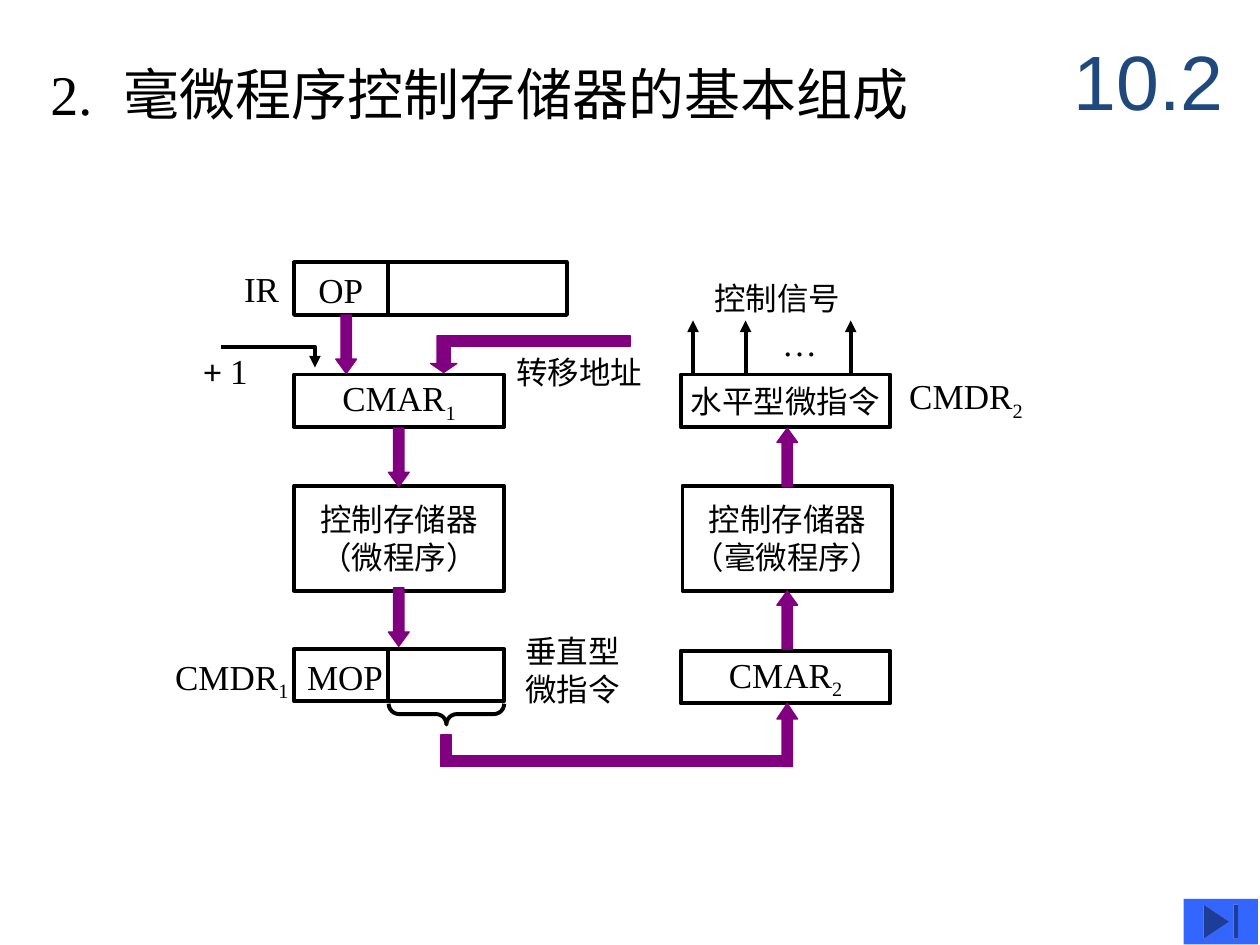
from lxml import etree
from pptx import Presentation
from pptx.dml.color import RGBColor
from pptx.enum.shapes import MSO_CONNECTOR, MSO_SHAPE
from pptx.enum.text import MSO_ANCHOR, MSO_AUTO_SIZE, PP_ALIGN
from pptx.oxml.ns import qn
from pptx.util import Cm, Pt

BLACK, PURPLE, BLUE, NAVY = "000000", "800080", "3366FF", "1F497D"
SERIF = "Times New Roman"

STYLES = {
    "latin": {"size": Pt(20), "name": SERIF},
    "subscript": {"size": Pt(20), "name": SERIF},
    "chinese": {"size": Pt(18), "name": SERIF},
    "plus": {"size": Pt(20), "name": "Calibri"},
    "number": {"size": Pt(32), "name": SERIF},
    "gap": {"size": Pt(18), "name": SERIF},
    "heading": {"size": Pt(32), "name": "DejaVu Sans"},
    "section": {"size": Pt(44), "name": "Arial"},
}

TITLE = [[("2.", "number"), ("　", "gap"), ("毫微程序控制存储器的基本组成", "heading")]]
TITLE_PLACE = (0.76, 1.07, 20.4, 1.63)
SECTION = [[("10.2", "section")]]
SECTION_PLACE = (21.39, 0.43, 4.01, 2.34)


def register(name, index):
    return [[(name, "latin"), (index, "subscript")]]


def chinese(*lines):
    return [[(line, "chinese")] for line in lines]


def latin(text):
    return [[(text, "latin")]]


LEFT, RIGHT, WIDTH, ROW, STORE = 5.93, 13.72, 4.23, 1.06, 2.12
BOXES = [
    ((LEFT, 5.29, 5.5, ROW), []),
    ((LEFT, 7.55, WIDTH, ROW), register("CMAR", "1")),
    ((LEFT, 9.79, WIDTH, STORE), chinese("控制存储器", "（微程序）")),
    ((LEFT, 13.08, WIDTH, ROW), []),
    ((RIGHT, 7.55, WIDTH, ROW), chinese("水平型微指令")),
    ((13.76, 9.79, WIDTH, STORE), chinese("控制存储器", "（毫微程序）")),
    ((RIGHT, 13.12, WIDTH, ROW), register("CMAR", "2")),
]
LABELS = [
    ((4.67, 5.26, 1.22, 1.12), latin("IR")),
    ((6.17, 5.28, 1.4, 1.12), latin("OP")),
    ((3.86, 6.93, 1.37, 1.12), [[("+", "plus"), (" 1", "latin")]]),
    ((5.94, 13.08, 2.03, 1.12), latin("MOP")),
    ((3.28, 13.08, 2.79, 1.22), register("CMDR", "1")),
    ((10.16, 6.99, 3.05, 1.02), chinese("转移地址")),
    ((10.34, 12.62, 2.41, 1.78), chinese("垂直型", "微指令")),
    ((14.15, 5.51, 3.05, 1.02), chinese("控制信号")),
    ((15.52, 6.35, 1.22, 1.12), latin("…")),
    ((18.08, 7.42, 2.79, 1.22), register("CMDR", "2")),
]
BARS = [(8.89, 14.82, 0.21, 0.63), (8.89, 15.24, 6.98, 0.21), (8.89, 6.77, 3.81, 0.21)]
BLOCK_ARROWS = [
    ((6.77, 6.35, 0.42, 1.18), 0, 0.69),
    ((7.83, 8.63, 0.42, 1.18), 0, 0.69),
    ((7.83, 11.85, 0.42, 1.18), 0, 0.69),
    ((8.68, 6.77, 0.53, 0.74), 0, 0.34),
    ((15.66, 8.63, 0.42, 1.18), 180, 0.69),
    ((15.66, 11.91, 0.42, 1.18), 180, 0.69),
    ((15.66, 14.18, 0.42, 1.27), 180, 0.75),
]
DIVIDER_X, DIVIDER_TOPS = 7.83, (5.29, 13.08)
SIGNAL_XS, SIGNAL_FROM, SIGNAL_TO = (13.97, 15.03, 17.15), 7.52, 6.46
INCREMENT_PATH = [(4.45, 6.99), (6.35, 6.99), (6.35, 7.41)]
BRACE_PLACE = (8.79, 13.23, 0.42, 2.33)
BUTTON_PLACE = (23.86, 18.12, 1.5, 0.92)


def colour(hex_value):
    return RGBColor.from_string(hex_value)


def lengths(values):
    return [Cm(value) for value in values]


def write_text(text_frame, paragraphs, align=PP_ALIGN.LEFT, anchor=MSO_ANCHOR.TOP,
               wrap=False, text_colour=BLACK):
    frame_format = {"word_wrap": wrap, "auto_size": MSO_AUTO_SIZE.NONE, "vertical_anchor": anchor}
    for name, value in frame_format.items():
        setattr(text_frame, name, value)
    for index, runs in enumerate(paragraphs):
        paragraph = text_frame.add_paragraph() if index else text_frame.paragraphs[0]
        paragraph.alignment = align
        for text, style in runs:
            run = paragraph.add_run()
            run.text = text
            for name, value in STYLES[style].items():
                setattr(run.font, name, value)
            run.font.color.rgb = colour(text_colour)
            if style == "subscript":
                run._r.get_or_add_rPr().set("baseline", "-25000")


def paint(shape, fill=None, line=None, width=2.25):
    shape.shadow.inherit = False
    if fill:
        shape.fill.solid()
        shape.fill.fore_color.rgb = colour(fill)
    else:
        shape.fill.background()
    if line:
        shape.line.color.rgb = colour(line)
        shape.line.width = Pt(width)
    else:
        shape.line.fill.background()


def add_label(slide, place, paragraphs, **text_format):
    box = slide.shapes.add_textbox(*lengths(place))
    write_text(box.text_frame, paragraphs, **text_format)


def add_arrowhead(shape):
    etree.SubElement(shape.line._get_or_add_ln(), qn("a:tailEnd"), type="triangle")


def add_line(slide, start, end, arrow=False):
    connector = slide.shapes.add_connector(MSO_CONNECTOR.STRAIGHT, *lengths(start + end))
    connector.line.color.rgb = colour(BLACK)
    connector.line.width = Pt(2.25)
    if arrow:
        add_arrowhead(connector)
    etree.SubElement(connector._element.spPr, qn("a:effectLst"))


def add_diagram(slide):
    shapes = slide.shapes
    for place, paragraphs in BOXES:
        box = shapes.add_shape(MSO_SHAPE.RECTANGLE, *lengths(place))
        paint(box, line=BLACK)
        write_text(box.text_frame, paragraphs, PP_ALIGN.CENTER, MSO_ANCHOR.MIDDLE)
    for place in BARS:
        paint(shapes.add_shape(MSO_SHAPE.RECTANGLE, *lengths(place)), PURPLE, PURPLE, 0.75)
    for place, rotation, head in BLOCK_ARROWS:
        arrow = shapes.add_shape(MSO_SHAPE.DOWN_ARROW, *lengths(place))
        arrow.rotation = rotation
        arrow.adjustments[1] = head
        paint(arrow, PURPLE, PURPLE, 0.75)
    for top in DIVIDER_TOPS:
        add_line(slide, (DIVIDER_X, top), (DIVIDER_X, top + ROW))
    for x in SIGNAL_XS:
        add_line(slide, (x, SIGNAL_FROM), (x, SIGNAL_TO), arrow=True)

    start, *corners = [lengths(point) for point in INCREMENT_PATH]
    builder = shapes.build_freeform(*start)
    builder.add_line_segments(corners, close=False)
    increment = builder.convert_to_shape()
    paint(increment, line=BLACK)
    add_arrowhead(increment)

    brace = shapes.add_shape(MSO_SHAPE.LEFT_BRACE, *lengths(BRACE_PLACE))
    brace.rotation = 270
    brace.adjustments[0] = 0.5
    paint(brace, line=BLACK)
    for place, paragraphs in LABELS:
        add_label(slide, place, paragraphs)


def main():
    presentation = Presentation()
    presentation.slide_width, presentation.slide_height = lengths((25.4, 19.05))
    slide = presentation.slides.add_slide(presentation.slide_layouts[5])
    title = slide.shapes.title
    for name, value in zip(("left", "top", "width", "height"), lengths(TITLE_PLACE)):
        setattr(title, name, value)
    write_text(title.text_frame, TITLE, wrap=True)
    add_label(slide, SECTION_PLACE, SECTION, anchor=MSO_ANCHOR.MIDDLE, wrap=True, text_colour=NAVY)
    add_diagram(slide)
    button = slide.shapes.add_shape(MSO_SHAPE.ACTION_BUTTON_END, *lengths(BUTTON_PLACE))
    paint(button, BLUE)
    presentation.save("out.pptx")


if __name__ == "__main__":
    main()
